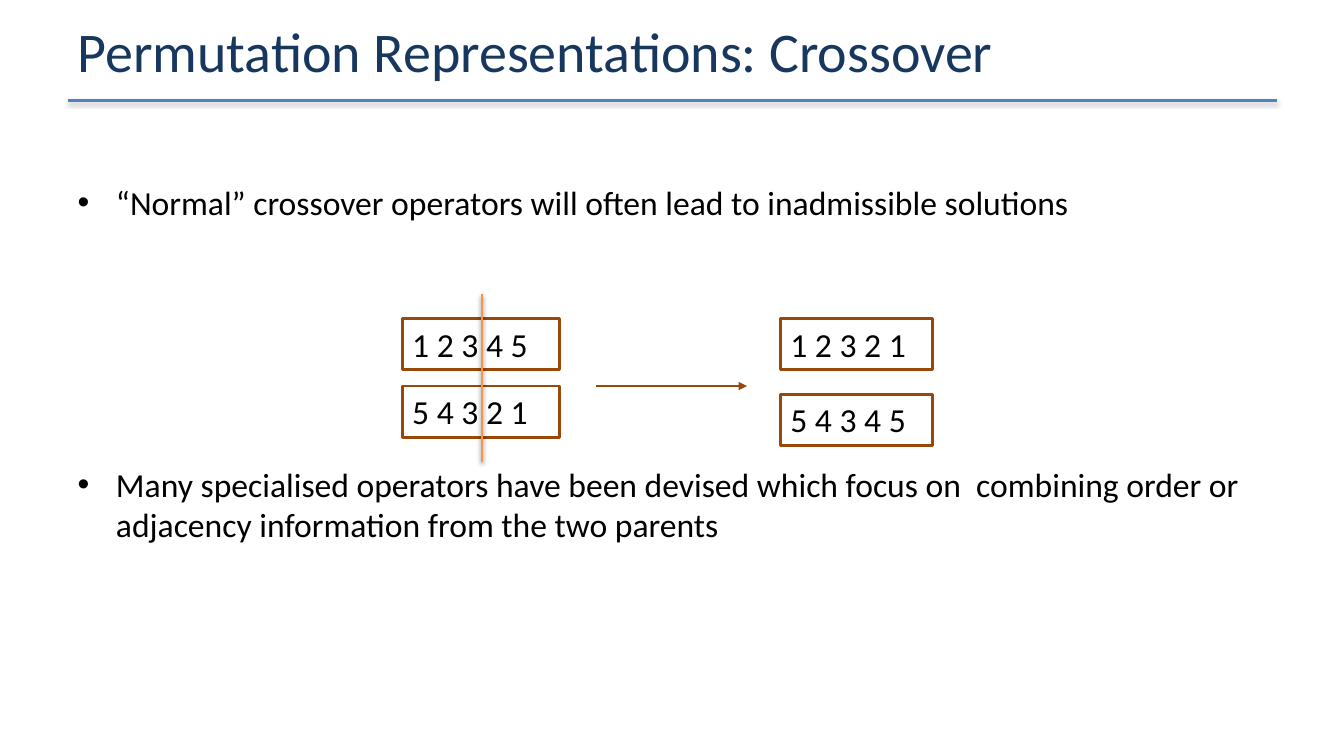
from lxml.etree import SubElement
from pptx import Presentation
from pptx.dml.color import RGBColor as RGB
from pptx.enum.shapes import MSO_CONNECTOR as CONN, MSO_SHAPE as SHAPE
from pptx.enum.text import MSO_ANCHOR as ANCHOR, MSO_AUTO_SIZE as AUTO, PP_ALIGN as ALIGN
from pptx.oxml.ns import qn
from pptx.util import Inches, Pt

COLORS = {"title": "17375E", "text": "000000", "rule": "4F81BD",
          "box": "984807", "cut": "F79646", "paper": "FFFFFF"}
WIDTH, HEIGHT = 13.33, 7.5
LEFT, SPAN = 0.67, 12
BOX_HEIGHT, BOX_TOP = 0.51, 3.16
FRAME = {"word_wrap": True, "auto_size": AUTO.NONE, "vertical_anchor": ANCHOR.TOP}
TITLE_FRAME = {**FRAME, "vertical_anchor": ANCHOR.MIDDLE, "margin_top": 0, "margin_bottom": 0}
TITLE_FONT = {"name": "Calibri", "size": Pt(40)}
TEXT_FONT = {"name": "Calibri", "size": Pt(24)}
BULLETS = [
    ("“Normal” crossover operators will often lead to inadmissible solutions", 0),
    ("Many specialised operators have been devised which focus on  combining order or "
     "adjacency information from the two parents", 173),
]
PAIRS = [
    (3.99, 1.56, 0.67, ("1 2 3 4 5", "5 4 3 2 1")),
    (7.74, 1.51, 0.75, ("1 2 3 2 1", "5 4 3 4 5")),
]


def apply(obj, values):
    """Set every attribute named in a dict of format values."""
    for name, value in values.items():
        setattr(obj, name, value)


def color(name):
    """Look up a palette colour."""
    return RGB.from_string(COLORS[name])


def write(p, text, font, ink, before=0):
    """Write one left-aligned run into a paragraph."""
    apply(p, {"alignment": ALIGN.LEFT, "space_before": Pt(before)})
    r = p.add_run()
    r.text = text
    apply(r.font, font)
    r.font.color.rgb = color(ink)


def place(sp, x, y, w, h, frame):
    """Move a placeholder and format its text frame."""
    apply(sp, {"left": Inches(x), "top": Inches(y), "width": Inches(w), "height": Inches(h)})
    apply(sp.text_frame, frame)
    return sp.text_frame


def add_bullets(sp):
    """Fill the body placeholder with hanging bullets."""
    tf = place(sp, LEFT, 1.75, SPAN, 5.31, FRAME)
    for i, (text, before) in enumerate(BULLETS):
        p = tf.add_paragraph() if i else tf.paragraphs[0]
        write(p, text, TEXT_FONT, "text", before)
        pPr = p._p.get_or_add_pPr()
        pPr.set("marL", str(Inches(0.38)))
        pPr.set("indent", str(-Inches(0.38)))


def add_box(s, x, y, w, text):
    """Add an outlined box holding one permutation."""
    sp = s.shapes.add_shape(SHAPE.RECTANGLE, *map(Inches, (x, y, w, BOX_HEIGHT)))
    sp.shadow.inherit = False
    sp.fill.solid()
    sp.fill.fore_color.rgb = color("paper")
    sp.line.color.rgb = color("box")
    sp.line.width = Pt(2)
    apply(sp.text_frame, FRAME)
    write(sp.text_frame.paragraphs[0], text, TEXT_FONT, "text")


def add_line(s, start, end, ink, shadow=False, arrow=False):
    """Add a straight line with an optional shadow or arrowhead."""
    sp = s.shapes.add_connector(CONN.STRAIGHT, *map(Inches, (*start, *end)))
    sp.line.color.rgb = color(ink)
    sp.line.width = Pt(2)
    spPr = sp._element.spPr
    if arrow:
        SubElement(spPr.find(qn("a:ln")), qn("a:tailEnd"), type="triangle")
    effects = SubElement(spPr, qn("a:effectLst"))
    if shadow:
        outer = SubElement(effects, qn("a:outerShdw"), blurRad="40000", dist="20000",
                           dir="5400000", rotWithShape="0")
        black = SubElement(outer, qn("a:srgbClr"), val=COLORS["text"])
        SubElement(black, qn("a:alpha"), val="38000")


def main():
    """Build the crossover slide."""
    prs = Presentation()
    apply(prs, {"slide_width": Inches(WIDTH), "slide_height": Inches(HEIGHT)})
    s = prs.slides.add_slide(prs.slide_layouts[1])
    add_line(s, (LEFT, 1), (LEFT + SPAN, 1), "rule", shadow=True)
    tf = place(s.shapes.title, LEFT, 0.02, SPAN, 0.95, TITLE_FRAME)
    write(tf.paragraphs[0], "Permutation Representations: Crossover", TITLE_FONT, "title")
    add_bullets(s.placeholders[1])
    for x, w, pitch, rows in PAIRS:
        for i, text in enumerate(rows):
            add_box(s, x, BOX_TOP + i * pitch, w, text)
    add_line(s, (4.78, 2.92), (4.78, 4.58), "cut", shadow=True)
    add_line(s, (5.91, 3.83), (7.41, 3.83), "box", arrow=True)
    prs.save("out.pptx")


if __name__ == "__main__":
    main()
